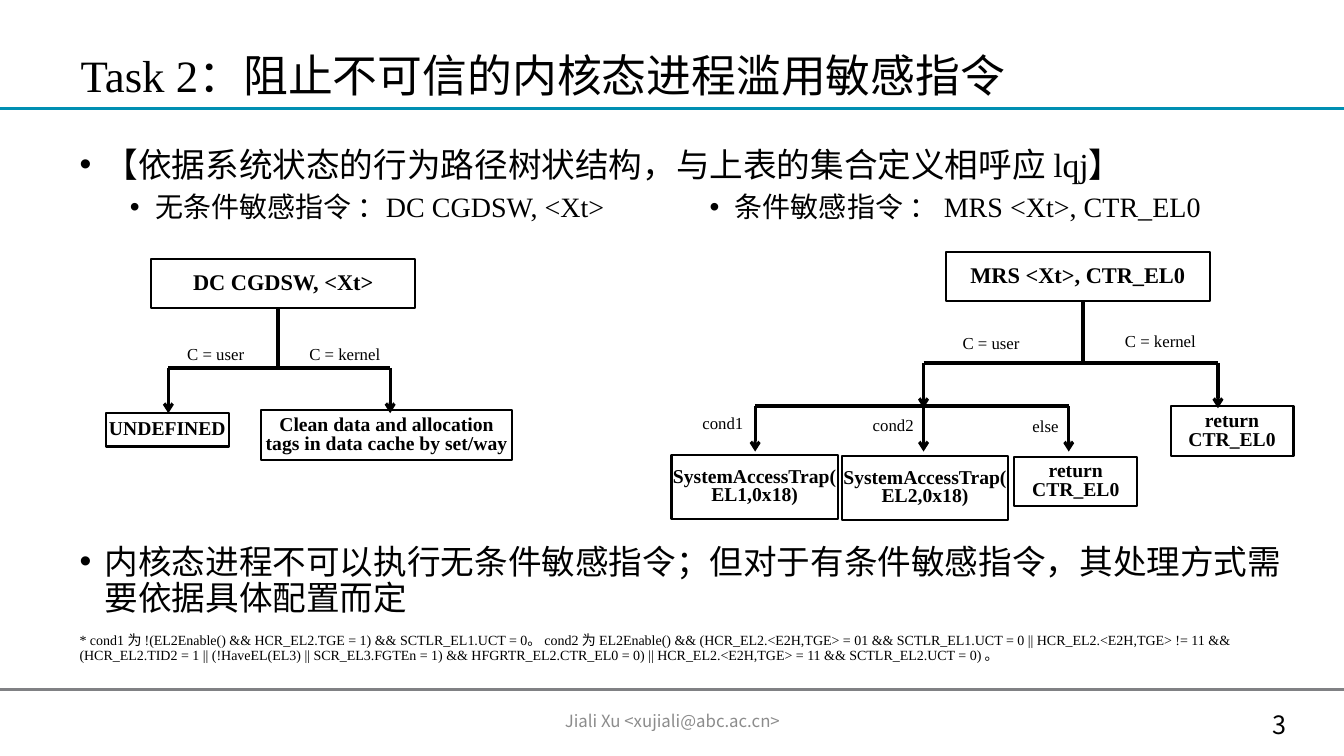
from dataclasses import dataclass
from lxml import etree
from pptx import Presentation
from pptx.dml.color import RGBColor
from pptx.enum.shapes import MSO_CONNECTOR, MSO_SHAPE
from pptx.enum.text import MSO_ANCHOR, PP_ALIGN
from pptx.oxml.ns import qn
from pptx.util import Inches, Pt

RECT, LINE = MSO_SHAPE.RECTANGLE, MSO_CONNECTOR.STRAIGHT
LEFT, CENTER = PP_ALIGN.LEFT, PP_ALIGN.CENTER
TOP, MIDDLE = MSO_ANCHOR.TOP, MSO_ANCHOR.MIDDLE


@dataclass(frozen=True)
class Theme:
    ink: RGBColor = RGBColor(0, 0, 0)
    teal: RGBColor = RGBColor(0x00, 0x8F, 0xB2)
    rule: RGBColor = RGBColor(0x80, 0x81, 0x84)
    pale: RGBColor = RGBColor(0x8C, 0x8C, 0x8C)
    serif: str = "Times New Roman"
    sans: str = "Noto Sans CJK SC"
    title: int = 32
    body: int = 24
    sub: int = 20
    page: int = 18
    root: int = 16
    leaf: int = 14
    label: int = 12
    note: int = 10


T = Theme()


def add_run(para, text, size, face=T.serif, color=T.ink, bold=False):
    run = para.add_run()
    run.text = text
    font = run.font
    font.size, font.name, font.bold = Pt(size), face, bold
    font.color.rgb = color
    asian = etree.SubElement(run.font._element, qn("a:ea"))
    asian.set("typeface", T.sans)


def add_text(slide, box, text, size, align=LEFT, anchor=TOP, space=0.9,
             face=T.serif, color=T.ink, indent=None):
    """Add a text box; indent is the text's left edge behind a hanging bullet."""
    frame = slide.shapes.add_textbox(*map(Inches, box)).text_frame
    frame.word_wrap, frame.vertical_anchor = True, anchor
    para = frame.paragraphs[0]
    para.alignment, para.line_spacing = align, space
    add_run(para, text, size, face, color)
    if indent is not None:
        props = para._p.get_or_add_pPr()
        props.set("marL", str(Inches(indent)))
        props.set("indent", str(Inches(-0.25)))
        etree.SubElement(props, qn("a:buFont")).set("typeface", "Arial")
        etree.SubElement(props, qn("a:buChar")).set("char", "•")


def add_line(slide, start, end, width, color=T.ink, arrow=False):
    line = slide.shapes.add_connector(LINE, *map(Inches, (*start, *end)))
    line.line.width = Pt(width)
    line.line.color.rgb = color
    if arrow:
        tail = etree.SubElement(line.line._get_or_add_ln(), qn("a:tailEnd"))
        tail.set("type", "arrow")
    etree.SubElement(line._element.spPr, qn("a:effectLst"))


def add_node(slide, box, text, size=T.leaf):
    node = slide.shapes.add_shape(RECT, *map(Inches, box))
    node.shadow.inherit = False
    node.fill.background()
    node.line.color.rgb, node.line.width = T.ink, Pt(1.5)
    frame = node.text_frame
    frame.word_wrap, frame.vertical_anchor = True, MIDDLE
    frame.margin_left = frame.margin_right = 0
    frame.margin_top = frame.margin_bottom = 0
    para = frame.paragraphs[0]
    para.alignment, para.line_spacing = CENTER, 0.8
    add_run(para, text, size, bold=True)


def add_fork(slide, drops, y):
    """Draw a bar at y with an arrow down from it at each x in drops."""
    add_line(slide, (drops[0], y), (drops[-1], y), 3)
    for x in drops:
        add_line(slide, (x, y), (x, y + 0.45), 2.25, arrow=True)


def add_tree(slide, box, root, stem, forks, labels, leaves):
    """Draw a decision tree; every place is relative to the box's corner."""
    left, top = box
    add_node(slide, (left + root[0], top, 2.62, 0.49), root[1], T.root)
    x, y = left + stem, top + forks[0][1]
    add_line(slide, (x, top + 0.49), (x, y), 3)
    for drops, y in forks:
        add_fork(slide, [left + x for x in drops], top + y)
    for x, y, text in labels:
        add_text(slide, (left + x - 0.55, top + y, 1.1, 0.26), text,
                 T.label, CENTER, space=0.8)
    for x, y, wide, high, text in leaves:
        add_node(slide, (left + x, top + y, wide, high), text)


def add_title(slide, box):
    title = slide.shapes.title
    title.left, title.top, title.width, title.height = map(Inches, box)
    title.text_frame.vertical_anchor = MIDDLE
    para = title.text_frame.paragraphs[0]
    para.alignment, para.line_spacing = LEFT, 1.5
    add_run(para, "Task 2：", T.title)
    add_run(para, "阻止不可信的内核态进程滥用敏感指令", T.title, T.sans)


def add_body(slide, box):
    left, top, wide = box
    add_text(slide, (left, top, wide, 0.45),
             "【依据系统状态的行为路径树状结构，与上表的集合定义相呼应 lqj】",
             T.body, indent=0.25)
    for x, text in ((0, "无条件敏感指令 ：DC CGDSW, <Xt>"),
                    (5.75, "条件敏感指令 ： MRS <Xt>, CTR_EL0")):
        add_text(slide, (left + x, top + 0.45, 6.37, 0.4), text,
                 T.sub, indent=0.75)
    add_text(slide, (left, top + 3.94, wide, 0.85),
             "内核态进程不可以执行无条件敏感指令；但对于有条件敏感指令，"
             "其处理方式需要依据具体配置而定",
             T.body, indent=0.25)
    add_text(slide, (left, top + 4.81, wide, 0.45),
             "* cond1 为 !(EL2Enable() && HCR_EL2.TGE = 1) && "
             "SCTLR_EL1.UCT = 0。 cond2 为 EL2Enable() && "
             "(HCR_EL2.<E2H,TGE> = 01 && SCTLR_EL1.UCT = 0 || "
             "HCR_EL2.<E2H,TGE> != 11 && (HCR_EL2.TID2 = 1 || "
             "(!HaveEL(EL3) || SCR_EL3.FGTEn = 1) && "
             "HFGRTR_EL2.CTR_EL0 = 0) || HCR_EL2.<E2H,TGE> = 11 && "
             "SCTLR_EL2.UCT = 0) 。",
             T.note)


def add_plain(slide, box):
    """Draw the tree of the unconditional instruction."""
    add_tree(slide, box, (0.45, "DC CGDSW, <Xt>"), 1.71,
             [((0.62, 2.82), 1.08)],
             [(1.09, 0.83, "C = user"), (2.37, 0.83, "C = kernel")],
             [(0, 1.53, 1.22, 0.33, "UNDEFINED"),
              (1.54, 1.5, 2.49, 0.49,
               "Clean data and allocation tags in data cache by set/way")])


def add_cond(slide, box):
    """Draw the tree of the conditional instruction."""
    add_tree(slide, box, (2.71, "MRS <Xt>, CTR_EL0"), 4.07,
             [((2.49, 5.41), 1.1), ((0.82, 2.49, 3.93), 1.53)],
             [(3.16, 0.79, "C = user"), (4.84, 0.77, "C = kernel"),
              (0.5, 1.58, "cond1"), (2.19, 1.6, "cond2"),
              (3.7, 1.61, "else")],
             [(-0.01, 2.01, 1.65, 0.64, "SystemAccessTrap(EL1,0x18)"),
              (1.68, 2.02, 1.65, 0.64, "SystemAccessTrap(EL2,0x18)"),
              (3.39, 2.03, 1.22, 0.49, "return CTR_EL0"),
              (4.94, 1.53, 1.22, 0.49, "return CTR_EL0")])


def add_foot(slide, box):
    left, top, wide = box
    add_line(slide, (left, top), (left + wide, top), 2.25, T.rule)
    add_text(slide, (left + 4.42, top + 0.11, 4.5, 0.4),
             "Jiali Xu <xujiali@abc.ac.cn>", T.label, CENTER, MIDDLE,
             space=1.0, face=T.sans, color=T.pale)
    add_text(slide, (left + 12.52, top + 0.15, 0.55, 0.4), "3", T.page,
             space=1.0, face=T.sans)


def main():
    deck = Presentation()
    deck.slide_width, deck.slide_height = Inches(13.33), Inches(7.5)
    slide = deck.slides.add_slide(deck.slide_layouts[5])
    add_title(slide, (0.7, 0.15, 11.05, 0.91))
    add_line(slide, (0, 1.08), (13.33, 1.08), 2.25, T.teal)
    add_body(slide, (0.69, 1.42, 12.38))
    add_plain(slide, (1.05, 2.57))
    add_cond(slide, (6.67, 2.5))
    add_foot(slide, (0, 6.84, 13.33))
    deck.save("out.pptx")


if __name__ == "__main__":
    main()
